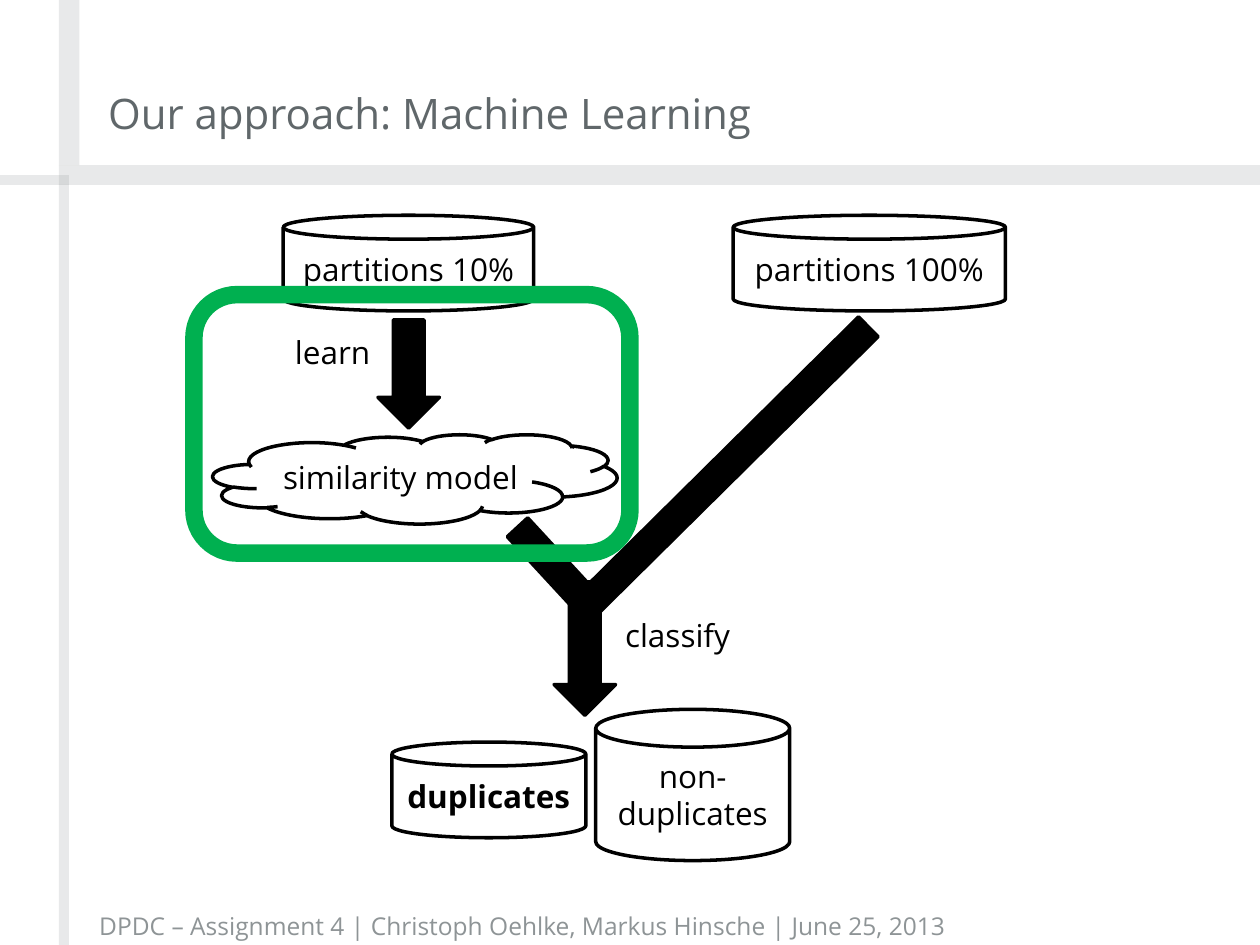
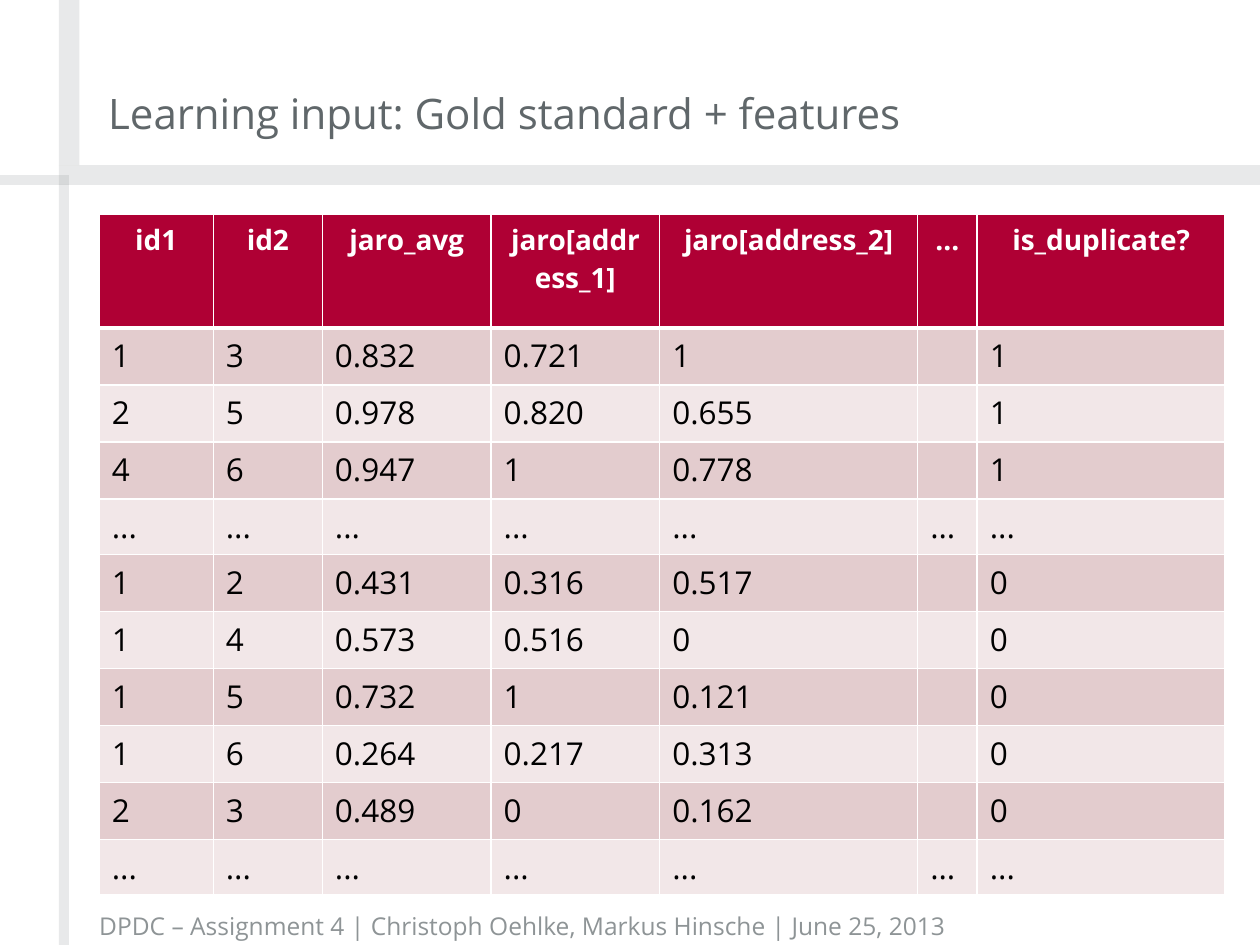
from lxml import etree
from pptx import Presentation
from pptx.dml.color import RGBColor
from pptx.enum.shapes import MSO_SHAPE
from pptx.enum.text import MSO_ANCHOR, MSO_AUTO_SIZE, PP_ALIGN
from pptx.oxml.ns import qn
from pptx.util import Cm, Pt

RECT, ROUND = MSO_SHAPE.RECTANGLE, MSO_SHAPE.ROUNDED_RECTANGLE
CAN, CLOUD, DOWN = MSO_SHAPE.CAN, MSO_SHAPE.CLOUD, MSO_SHAPE.DOWN_ARROW
TOP, MIDDLE, BOTTOM = MSO_ANCHOR.TOP, MSO_ANCHOR.MIDDLE, MSO_ANCHOR.BOTTOM
LEFT, CENTER = PP_ALIGN.LEFT, PP_ALIGN.CENTER
NO_FIT = MSO_AUTO_SIZE.NONE

FONT = "Open Sans"
COLORS = {
    "black": "000000", "white": "FFFFFF", "title": "60676A", "gray": "8E9496",
    "green": "00B050", "red": "AF0034", "row_dark": "E3CCCE", "row_light": "F2E7E8",
}
FOOTER = "DPDC – Assignment 4 | Christoph Oehlke, Markus Hinsche | June 25, 2013"


def rgb(name):
    return RGBColor.from_string(COLORS[name])


def write(tf, text, size=18, color="black", bold=False, align=CENTER):
    """Fill a text frame, one paragraph per line of text."""
    for i, line in enumerate(text.split("\n")):
        p = tf.paragraphs[0] if i == 0 else tf.add_paragraph()
        p.alignment = align
        r = p.add_run()
        r.text = line
        r.font.name, r.font.size, r.font.bold = FONT, Pt(size), bold
        r.font.color.rgb = rgb(color)


def frame(tf, anchor, inset=None, wrap=False):
    tf.auto_size, tf.word_wrap, tf.vertical_anchor = NO_FIT, wrap, anchor
    if inset is not None:
        tf.margin_left = tf.margin_right = tf.margin_top = tf.margin_bottom = inset


def add_shape(slide, kind, x, y, w, h, fill=None, line=None, width=2, rot=0):
    sp = slide.shapes.add_shape(kind, Cm(x), Cm(y), Cm(w), Cm(h))
    sp.shadow.inherit = False
    sp.rotation = rot
    if fill:
        sp.fill.solid()
        sp.fill.fore_color.rgb = rgb(fill)
    else:
        sp.fill.background()
    if line:
        sp.line.color.rgb = rgb(line)
        sp.line.width = Pt(width)
    else:
        sp.line.fill.background()
    return sp


def add_label(slide, text, x, y, w, h):
    tb = slide.shapes.add_textbox(Cm(x), Cm(y), Cm(w), Cm(h))
    frame(tb.text_frame, TOP)
    write(tb.text_frame, text)


def add_bands(layout, slide):
    """Draw the translucent bands and move them to the layout."""
    bands = [(1.19, 0, 0.41, 3.33), (1.19, 3.33, 24.21, 0.4),
             (1.19, 3.73, 0.2, 15.32), (0, 3.53, 1.39, 0.2)]
    for i, box in enumerate(bands):
        sp = add_shape(slide, RECT, *box, fill="gray")
        for color in sp.element.iter(qn("a:srgbClr")):
            etree.SubElement(color, qn("a:alpha")).set("val", "20000")
        sp.element.nvSpPr.cNvPr.set("id", str(20 + i))
        layout.shapes.element.append(sp.element)


def add_slide(prs, layout, title):
    """A slide with its title and footer."""
    slide = prs.slides.add_slide(layout)
    sp = slide.shapes.title
    sp.left, sp.top, sp.width, sp.height = Cm(2.18), Cm(0), Cm(17.9), Cm(2.79)
    frame(sp.text_frame, BOTTOM, inset=0, wrap=True)
    write(sp.text_frame, title, size=24, color="title", align=LEFT)

    tb = slide.shapes.add_textbox(Cm(2), Cm(18.24), Cm(22.7), Cm(0.71))
    frame(tb.text_frame, BOTTOM, inset=0, wrap=True)
    write(tb.text_frame, FOOTER, size=14, color="gray", align=LEFT)
    return slide


def add_node(slide, kind, text, x, y, w, h, fill=None, bold=False):
    sp = add_shape(slide, kind, x, y, w, h, fill=fill, line="black")
    frame(sp.text_frame, MIDDLE)
    write(sp.text_frame, text, bold=bold)


def add_pipeline(slide, x, y):
    """Learning and classification flow, from its top left corner."""
    # Model and learning step
    add_node(slide, CLOUD, "similarity model", x + 0.38, y + 4.42, 8.15, 1.8)
    add_shape(slide, DOWN, x + 3.71, y + 2.11, 1.24, 2.18, "black", "black")
    add_label(slide, "learn", x + 1.73, y + 2.24, 2.13, 1.02)
    add_label(slide, "classify", x + 8.33, y + 7.95, 2.84, 1.02)

    # Data stores
    add_node(slide, CAN, "non-\nduplicates", x + 8.1, y + 9.96, 3.91, 3.05)
    add_node(slide, CAN, "duplicates", x + 3.99, y + 10.62, 3.91, 1.93, "white", True)
    add_node(slide, CAN, "partitions 10%", x + 1.8, y, 5.05, 1.93, "white")
    add_node(slide, CAN, "partitions 100%", x + 10.87, y, 5.49, 1.93, "white")

    # Merging arrow with its two arms
    add_shape(slide, DOWN, x + 7.26, y + 7.39, 1.24, 2.69, "black", "black")
    add_shape(slide, RECT, x + 6.71, y + 4.8, 8.05, 0.56, "black", "black", rot=315.3)
    add_shape(slide, RECT, x + 6.15, y + 6.86, 2.31, 0.56, "black", "black", rot=47.3)

    # Highlight of the learning part
    add_shape(slide, ROUND, x, y + 1.6, 8.79, 5.21, line="green", width=10)


def set_borders(cell, **widths):
    """White borders; widths in points by side, in schema order."""
    tc_pr = cell._tc.get_or_add_tcPr()
    for side, width in widths.items():
        ln = etree.SubElement(tc_pr, qn("a:ln" + side), w=str(Pt(width)))
        fill = etree.SubElement(ln, qn("a:solidFill"))
        etree.SubElement(fill, qn("a:srgbClr"), val=COLORS["white"])


def add_feature_table(slide, rows, x, y, col_widths, header_h=2.29, row_h=1.15):
    heights = [header_h] + [row_h] * (len(rows) - 1)
    table = slide.shapes.add_table(
        len(rows), len(col_widths), Cm(x), Cm(y),
        Cm(sum(col_widths)), Cm(sum(heights))).table
    for col, width in zip(table.columns, col_widths):
        col.width = Cm(width)
    for i, row in enumerate(rows):
        # Rows of dots are a little lower
        table.rows[i].height = Cm(1 if row[0] == "..." else heights[i])
        fill = "red" if i == 0 else "row_dark" if i % 2 else "row_light"
        for j, text in enumerate(row):
            cell = table.cell(i, j)
            set_borders(cell, L=1, R=1, T=3 if i == 1 else 1, B=3 if i == 0 else 1)
            cell.fill.solid()
            cell.fill.fore_color.rgb = rgb(fill)
            if text and i == 0:
                write(cell.text_frame, text, size=16, color="white", bold=True)
            elif text:
                write(cell.text_frame, text, align=LEFT)


prs = Presentation()
prs.slide_width, prs.slide_height = Cm(25.4), Cm(19.05)
title_only = prs.slide_layouts[5]

# Slide 1: approach
approach = add_slide(prs, title_only, "Our approach: Machine Learning")
add_bands(title_only, approach)
add_pipeline(approach, 3.91, 4.34)

# Slide 2: learning input
DOTS = ["..."] * 7
FEATURES = [
    ["id1", "id2", "jaro_avg", "jaro[address_1]", "jaro[address_2]", "...", "is_duplicate?"],
    ["1", "3", "0.832", "0.721", "1", "", "1"],
    ["2", "5", "0.978", "0.820", "0.655", "", "1"],
    ["4", "6", "0.947", "1", "0.778", "", "1"],
    DOTS,
    ["1", "2", "0.431", "0.316", "0.517", "", "0"],
    ["1", "4", "0.573", "0.516", "0", "", "0"],
    ["1", "5", "0.732", "1", "0.121", "", "0"],
    ["1", "6", "0.264", "0.217", "0.313", "", "0"],
    ["2", "3", "0.489", "0", "0.162", "", "0"],
    DOTS,
]
learning = add_slide(prs, title_only, "Learning input: Gold standard + features")
add_feature_table(learning, FEATURES, 2, 4.32, [2.3, 2.2, 3.4, 3.4, 5.2, 1.2, 5])

prs.save("out.pptx")
